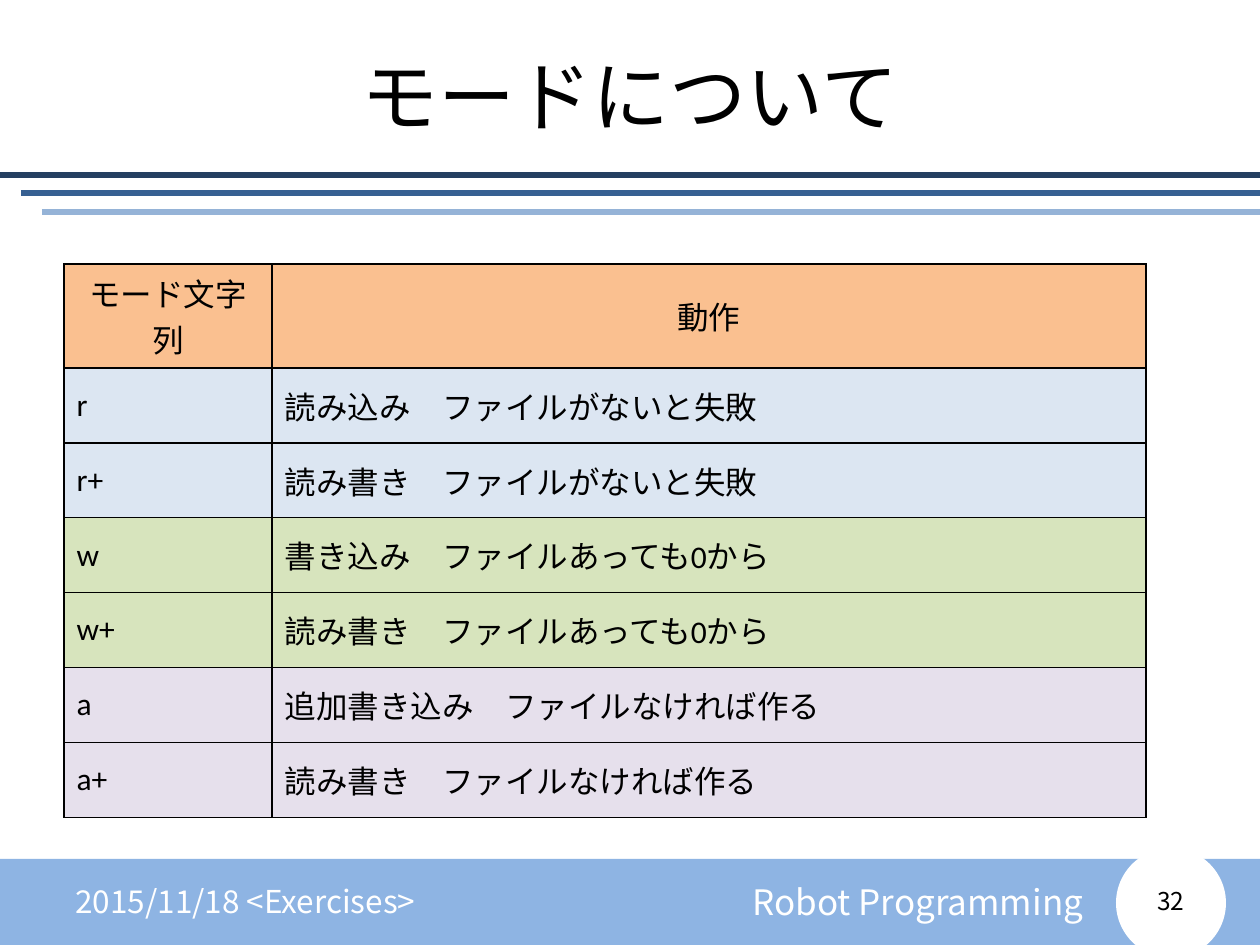
"""Build a slide with a table of file opening modes."""
from pptx import Presentation, util as u
from pptx.dml.color import RGBColor
from pptx.enum import shapes, text
from pptx.oxml import parse_xml
from pptx.oxml.ns import nsdecls
from pptx.oxml.xmlchemy import OxmlElement

SCALE = 914400 // 126
SANS = "Noto Sans CJK JP"
BLACK, WHITE, BAR = "000000", "FFFFFF", "8EB4E3"
TITLE = "モードについて"
HEADER = ("モード文字列", "動作")
HEADER_FILL = "FAC090"
MODE_GROUPS = [
    ("DCE6F2", [("r", "読み込み　ファイルがないと失敗"),
                ("r+", "読み書き　ファイルがないと失敗")]),
    ("D7E4BD", [("w", "書き込み　ファイルあっても0から"),
                ("w+", "読み書き　ファイルあっても0から")]),
    ("E6E0EC", [("a", "追加書き込み　ファイルなければ作る"),
                ("a+", "読み書き　ファイルなければ作る")]),
]
COLUMN_WIDTHS = (208, 874)
HEADER_HEIGHT, ROW_HEIGHT = 49, 75
RULES = [(0, 175, "254061"), (21, 193, "376092"), (42, 212, "95B3D7")]
LEFT, CENTER, RIGHT = text.PP_ALIGN.LEFT, text.PP_ALIGN.CENTER, text.PP_ALIGN.RIGHT
MIDDLE = text.MSO_ANCHOR.MIDDLE


def px(*values):
    return [u.Emu(value * SCALE) for value in values]


def rgb(value):
    return RGBColor.from_string(value)


def write(frame, content, size, color=BLACK, font=SANS, align=LEFT):
    paragraph = frame.paragraphs[0]
    paragraph.alignment = align
    run = paragraph.add_run()
    run.text = content
    run.font.size = u.Pt(size)
    run.font.name = font
    run.font.bold = False
    run.font.color.rgb = rgb(color)
    east_asian = OxmlElement("a:ea")
    east_asian.set("typeface", SANS)
    run.font._element.append(east_asian)


def add_text(slide, box, content, size, wrap=True, anchor=MIDDLE, **style):
    frame = slide.shapes.add_textbox(*px(*box)).text_frame
    frame.word_wrap = wrap
    frame.vertical_anchor = anchor
    if not wrap:
        frame.auto_size = text.MSO_AUTO_SIZE.SHAPE_TO_FIT_TEXT
    write(frame, content, size, **style)


def add_block(slide, kind, box, color):
    shape = slide.shapes.add_shape(kind, *px(*box))
    shape.shadow.inherit = False
    shape.fill.solid()
    shape.fill.fore_color.rgb = rgb(color)
    shape.line.fill.background()


def add_rule(slide, left, top, color):
    rule = slide.shapes.add_connector(shapes.MSO_CONNECTOR.STRAIGHT, *px(left, top, 1260, top))
    rule.line.color.rgb = rgb(color)
    rule.line.width = u.Pt(3)
    rule._element.spPr.append(OxmlElement("a:effectLst"))


def fill_cell(cell, content, color, align):
    properties = cell._tc.get_or_add_tcPr()
    for side in "LRTB":
        properties.append(parse_xml(
            f'<a:ln{side} {nsdecls("a")} w="12700"><a:solidFill>'
            f'<a:srgbClr val="{BLACK}"/></a:solidFill></a:ln{side}>'))
    cell.fill.solid()
    cell.fill.fore_color.rgb = rgb(color)
    cell.vertical_anchor = MIDDLE
    write(cell.text_frame, content, 18, font="Calibri", align=align)


def add_modes(slide):
    rows = [(HEADER_FILL, CENTER, HEADER)]
    rows += [(color, LEFT, mode) for color, modes in MODE_GROUPS for mode in modes]
    height = HEADER_HEIGHT + ROW_HEIGHT * (len(rows) - 1)
    table = slide.shapes.add_table(
        len(rows), len(HEADER), *px(64, 264, sum(COLUMN_WIDTHS), height)).table
    for column, width in zip(table.columns, px(*COLUMN_WIDTHS)):
        column.width = width
    for index, (color, align, contents) in enumerate(rows):
        table.rows[index].height = px(ROW_HEIGHT if index else HEADER_HEIGHT)[0]
        for cell, content in zip(table.rows[index].cells, contents):
            fill_cell(cell, content, color, align)


def main():
    presentation = Presentation()
    presentation.slide_width, presentation.slide_height = px(1260, 945)
    slide = presentation.slides.add_slide(presentation.slide_layouts[5])

    title = slide.shapes.title
    title.left, title.top, title.width, title.height = px(63, 16, 1134, 158)
    title.text_frame.vertical_anchor = MIDDLE
    write(title.text_frame, TITLE, 44, align=CENTER)

    add_block(slide, shapes.MSO_SHAPE.RECTANGLE, (0, 859, 1260, 86), BAR)
    add_block(slide, shapes.MSO_SHAPE.OVAL, (1116, 848, 110, 110), WHITE)
    for rule in RULES:
        add_rule(slide, *rule)
    add_modes(slide)
    add_text(slide, (740, 874, 392, 55), "Robot Programming", 20, wrap=False,
             anchor=text.MSO_ANCHOR.TOP, color=WHITE)
    add_text(slide, (63, 876, 369, 50), "2015/11/18 <Exercises>", 18, color=WHITE)
    add_text(slide, (903, 876, 294, 50), "32", 14, align=RIGHT)
    presentation.save("out.pptx")


if __name__ == "__main__":
    main()
